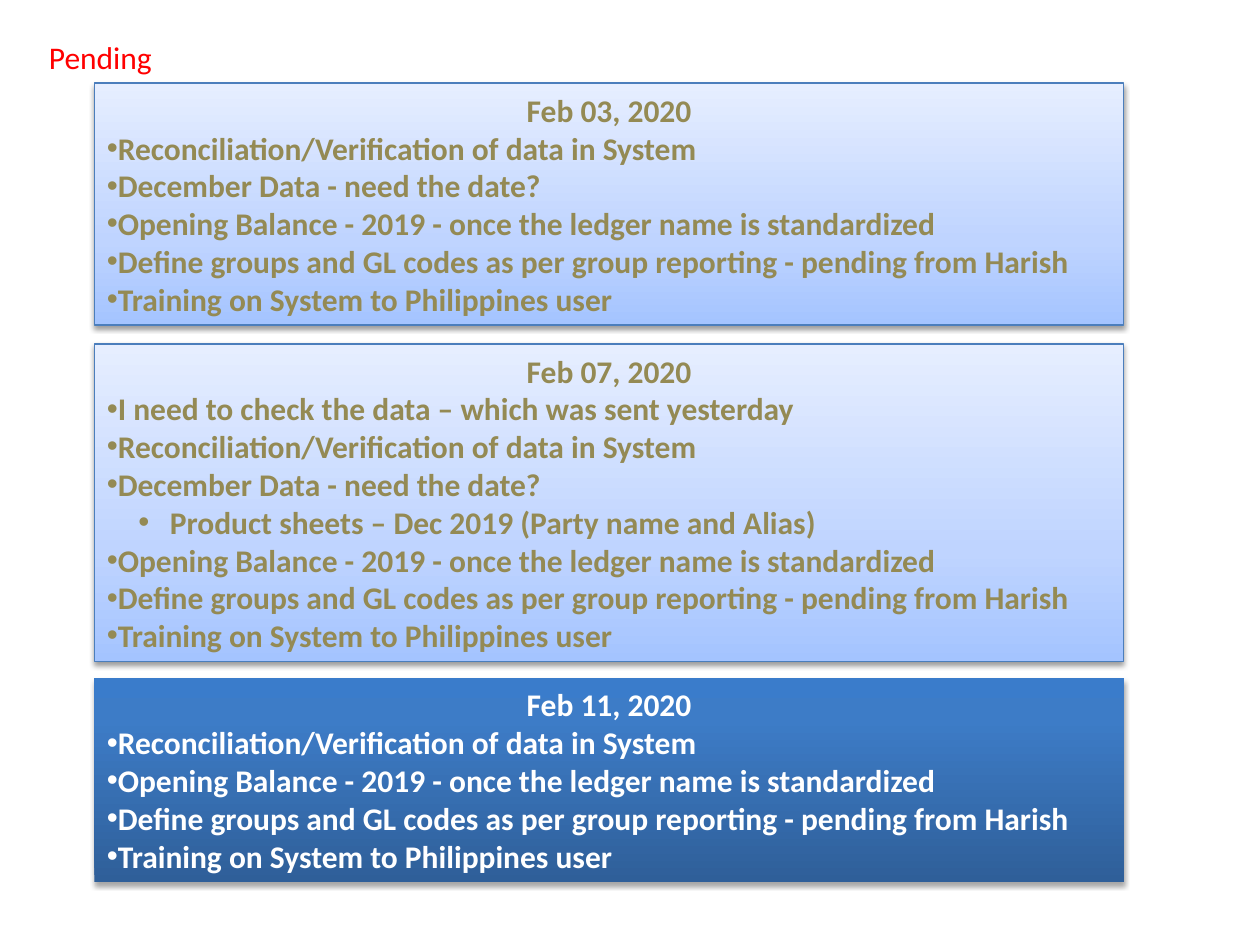
from copy import deepcopy

from lxml import etree
from pptx import Presentation
from pptx.dml.color import RGBColor
from pptx.enum.shapes import MSO_SHAPE
from pptx.enum.text import MSO_ANCHOR, MSO_AUTO_SIZE, PP_ALIGN
from pptx.oxml.ns import qn
from pptx.util import Inches, Pt

RECT = MSO_SHAPE.RECTANGLE
MIDDLE = MSO_ANCHOR.MIDDLE
FIT_SHAPE = MSO_AUTO_SIZE.SHAPE_TO_FIT_TEXT
LEFT, CENTER = PP_ALIGN.LEFT, PP_ALIGN.CENTER

# Gradients run from the bottom edge to the top edge
LIGHT = {"stops": [(0, "A4C4FF"), (0.35, "BFD4FF"), (1, "E6EEFF")],
         "line": "4B7EBC", "text": "948A54", "shadow": (38, 1.6)}
DARK = {"stops": [(0, "2F5F99"), (0.8, "3D7CC7"), (1, "3A7CCB")],
        "line": None, "text": "FFFFFF", "shadow": (35, 1.8)}

RECONCILE = "Reconciliation/Verification of data in System"
DECEMBER = "December Data - need the date?"
CLOSING_ITEMS = [
    "Opening Balance - 2019 - once the ledger name is standardized",
    "Define groups and GL codes as per group reporting - pending from Harish",
    "Training on System to Philippines user",
]

# Top, height, style, date, items as (level, text)
CARDS = [
    (0.66, 1.92, LIGHT, "Feb 03, 2020",
     [(0, t) for t in [RECONCILE, DECEMBER, *CLOSING_ITEMS]]),
    (2.73, 2.52, LIGHT, "Feb 07, 2020",
     [(0, "I need to check the data – which was sent yesterday"),
      (0, RECONCILE), (0, DECEMBER),
      (1, "Product sheets – Dec 2019 (Party name and Alias)"),
      *[(0, t) for t in CLOSING_ITEMS]]),
    (5.38, 1.62, DARK, "Feb 11, 2020",
     [(0, t) for t in [RECONCILE, *CLOSING_ITEMS]]),
]


def rgb(value):
    return RGBColor.from_string(value)


def add_run(p, text, color, bold=False):
    r = p.add_run()
    r.text = text
    r.font.name = "Calibri"
    r.font.size = Pt(18)
    r.font.bold = bold
    r.font.color.rgb = rgb(color)


def set_gradient(sp, stops):
    sp.fill.gradient()
    sp.fill.gradient_angle = 90
    gs_list = next(sp._element.spPr.iter(qn("a:gsLst")))
    while len(gs_list) < len(stops):
        gs_list.append(deepcopy(gs_list[0]))
    for stop, (position, color) in zip(sp.fill.gradient_stops, stops):
        stop.position = position
        stop.color.rgb = rgb(color)


def set_shadow(sp, opacity, distance):
    sp.shadow.inherit = False
    effects = sp._element.spPr.find(qn("a:effectLst"))
    outer = etree.SubElement(effects, qn("a:outerShdw"), blurRad=str(Pt(3.1)),
                             dist=str(Pt(distance)), dir="5400000", rotWithShape="0")
    color = etree.SubElement(outer, qn("a:srgbClr"), val="000000")
    etree.SubElement(color, qn("a:alpha"), val=str(opacity * 1000))


def set_bullet(p, level):
    p.level = level
    pPr = p._p.get_or_add_pPr()
    pPr.set("marL", str(Inches(0.5 * level)))
    pPr.set("indent", str(Inches(-0.25 * level)))
    etree.SubElement(pPr, qn("a:buFont"), typeface="Arial")
    etree.SubElement(pPr, qn("a:buChar"), char="•")


def add_card(slide, top, height, style, date, items):
    sp = slide.shapes.add_shape(RECT, Inches(0.75), Inches(top),
                                Inches(8.17), Inches(height))
    set_gradient(sp, style["stops"])
    if style["line"]:
        sp.line.color.rgb = rgb(style["line"])
        sp.line.width = Pt(0.75)
    else:
        sp.line.fill.background()
    set_shadow(sp, *style["shadow"])

    # Date heading, then the pending items
    tf = sp.text_frame
    tf.word_wrap = True
    tf.auto_size = FIT_SHAPE
    tf.vertical_anchor = MIDDLE
    p = tf.paragraphs[0]
    p.alignment = CENTER
    add_run(p, date, style["text"], bold=True)
    for level, text in items:
        p = tf.add_paragraph()
        p.alignment = LEFT
        set_bullet(p, level)
        add_run(p, text, style["text"], bold=True)


def add_title(slide, text):
    box = slide.shapes.add_textbox(Inches(0.29), Inches(0.25), Inches(1.03), Inches(0.4))
    tf = box.text_frame
    tf.word_wrap = False
    tf.auto_size = FIT_SHAPE
    add_run(tf.paragraphs[0], text, "FF0000")


def main():
    prs = Presentation()
    prs.slide_width, prs.slide_height = Inches(10), Inches(7.5)
    slide = prs.slides.add_slide(prs.slide_layouts[6])
    add_title(slide, "Pending")
    for card in CARDS:
        add_card(slide, *card)
    prs.save("out.pptx")


if __name__ == "__main__":
    main()
